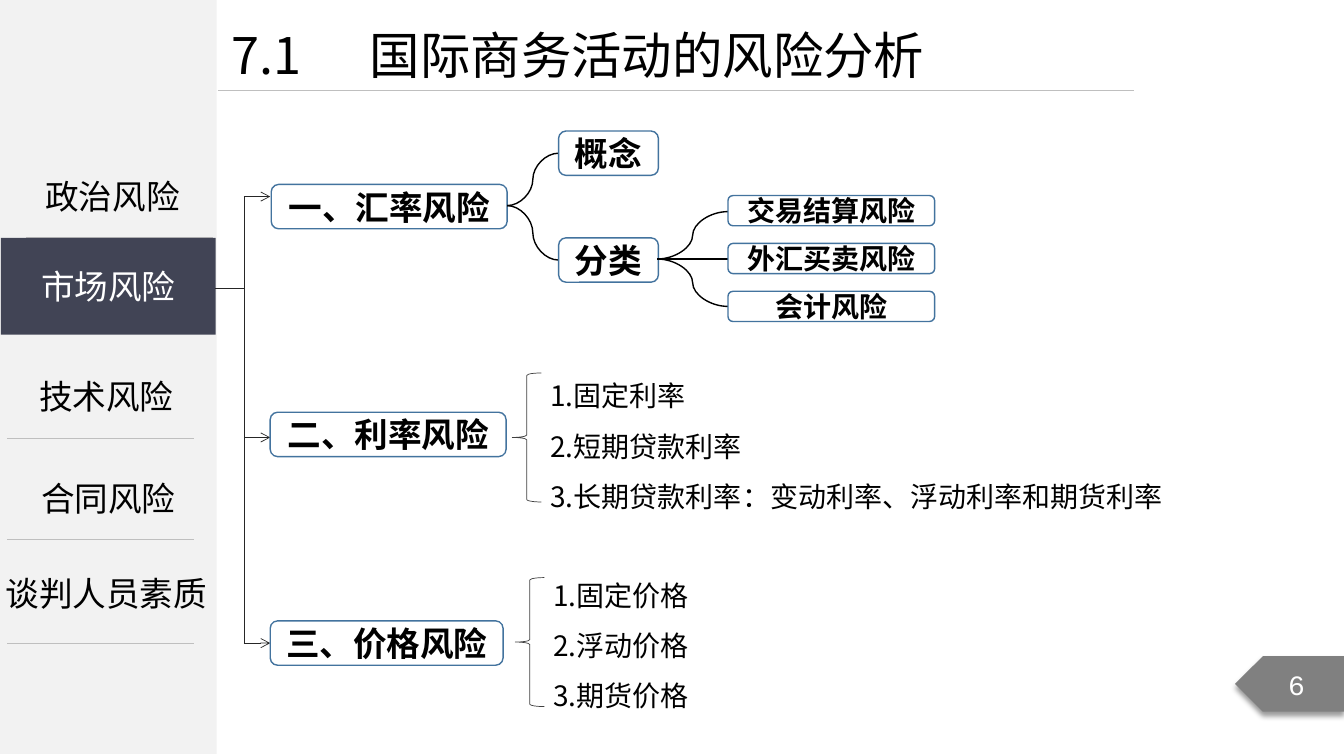
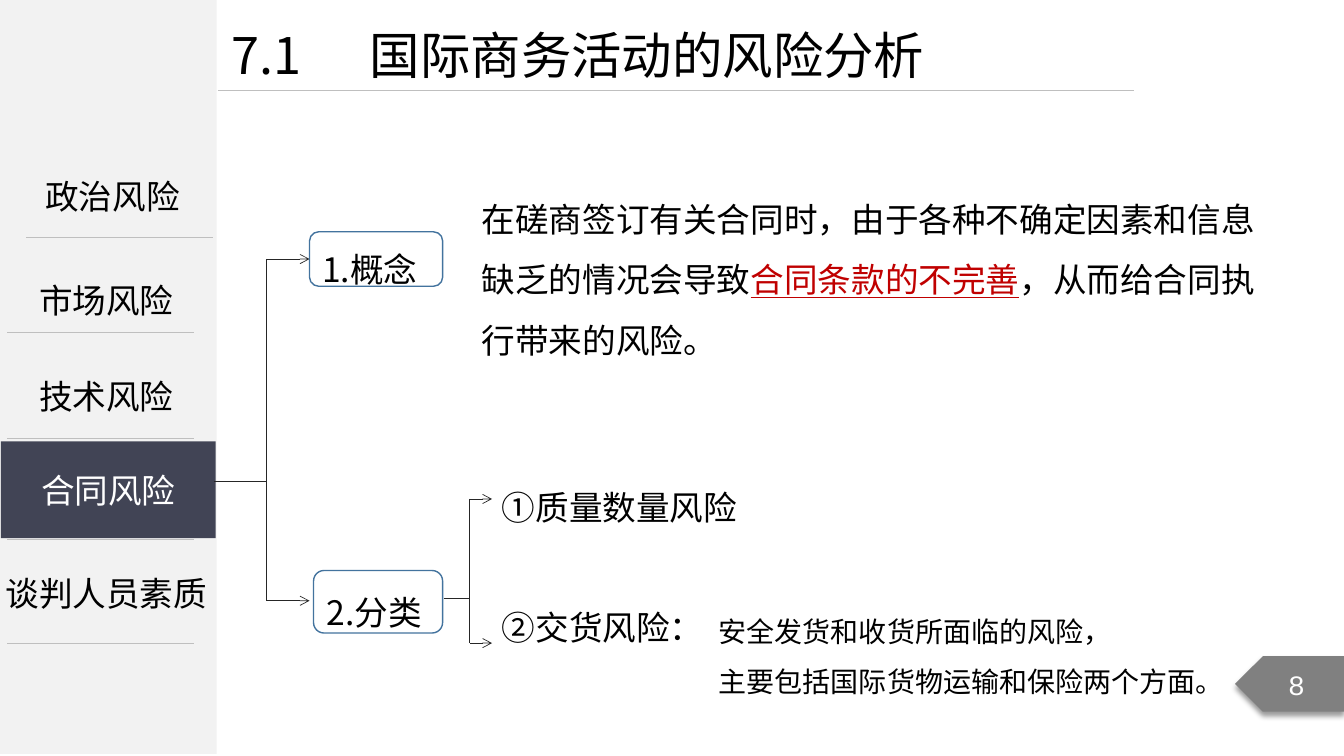
from dataclasses import dataclass, replace
from typing import Any, Optional, Sequence, Union

from lxml.etree import SubElement
from pptx import Presentation
from pptx.dml.color import RGBColor
from pptx.enum.shapes import MSO_CONNECTOR as Link, MSO_SHAPE as Shape
from pptx.enum.text import MSO_ANCHOR as Anchor, MSO_AUTO_SIZE as AutoSize, PP_ALIGN as Align
from pptx.oxml.ns import qn
from pptx.util import Inches, Pt

# Look shared by the slides
COLORS = {
    "panel": "F2F2F2", "rule": "BFBFBF", "active": "414455", "tag": "808080",
    "box": "43739E", "branch": "262626", "brace": "404040",
    "ink": "000000", "light": "FFFFFF", "alert": "C00000",
}
SANS, DIGITS = "Noto Sans CJK SC", "Courier New"
TITLE = ("7.1", "国际商务活动的风险分析")

# Grid: ten columns or rows to the inch
COLUMNS, ROWS = 133.3, 75


def cells(count: float) -> int:
    return Inches(count / 10)


@dataclass(frozen=True)
class Area:
    col: float
    row: float
    cols: float
    rows: float

    @property
    def emu(self) -> list[int]:
        return [cells(n) for n in (self.col, self.row, self.cols, self.rows)]


@dataclass(frozen=True)
class TextStyle:
    size: int = 24
    color: str = "ink"
    font: str = SANS
    bold: bool = False
    align: Align = Align.LEFT
    spacing: float = 1.0
    gap: float = 0
    tracking: int = 0


@dataclass(frozen=True)
class Span:
    text: str
    color: str
    underline: bool = False


@dataclass(frozen=True)
class Topic:
    label: str
    area: Area
    rule: tuple[float, float]
    spacing: float = 1.0
    active_row: Optional[float] = None


@dataclass(frozen=True)
class Branch:
    start: tuple[float, float]
    trunk: float
    tip: float
    rows: Sequence[float]


@dataclass(frozen=True)
class Node:
    label: str
    area: Area
    style: TextStyle


@dataclass(frozen=True)
class Note:
    paragraphs: Sequence[Union[str, Sequence[Span]]]
    area: Area
    style: TextStyle


CENTERED = TextStyle(align=Align.CENTER)
ACTIVE = replace(CENTERED, color="light")
HEADING = replace(CENTERED, bold=True, tracking=-10)
LEAF = replace(HEADING, size=20)
NUMBERED = TextStyle(spacing=1.5)
DETAIL = replace(NUMBERED, size=20)

TOPICS = (
    Topic("政治风险", Area(2, 17, 18.3, 5), (2.6, 23.5)),
    Topic("市场风险", Area(1.4, 27.3, 18.3, 5), (0.7, 33), active_row=23.6),
    Topic("技术风险", Area(1.4, 34.8, 18.3, 6.4), (0.7, 43.5), 1.5),
    Topic("合同风险", Area(1.6, 44.9, 18.3, 7.1), (0.7, 53.5), 1.5, 43.8),
    Topic("谈判人员素质", Area(-0.5, 56.3, 22.1, 5), (0.7, 63.8)),
)


# Drawing helpers
def rgb(name: str) -> RGBColor:
    return RGBColor.from_string(COLORS[name])


def apply(target: Any, formats: dict[str, Any]) -> None:
    for key, value in formats.items():
        setattr(target, key, value)


def write(frame: Any, paragraphs: Sequence, style: TextStyle) -> None:
    frame.word_wrap = True
    for index, content in enumerate(paragraphs):
        paragraph = frame.add_paragraph() if index else frame.paragraphs[0]
        apply(paragraph, {"alignment": style.align, "line_spacing": style.spacing})
        if index and style.gap:
            paragraph.space_before = Pt(style.gap)
        spans = [Span(content, style.color)] if isinstance(content, str) else content
        for span in spans:
            run = paragraph.add_run()
            run.text = span.text
            apply(run.font, {"name": style.font, "size": Pt(style.size),
                             "bold": style.bold, "underline": span.underline})
            run.font.color.rgb = rgb(span.color)
            props = run._r.get_or_add_rPr()
            SubElement(props, qn("a:ea")).set("typeface", style.font)
            if style.tracking:
                props.set("spc", str(style.tracking))


def add_figure(slide: Any, kind: Shape, area: Area, fill: Optional[str] = None,
               line: Optional[str] = None, weight: float = 1) -> Any:
    figure = slide.shapes.add_shape(kind, *area.emu)
    figure.shadow.inherit = False
    if fill:
        figure.fill.solid()
        figure.fill.fore_color.rgb = rgb(fill)
    else:
        figure.fill.background()
    if line:
        figure.line.color.rgb = rgb(line)
        figure.line.width = Pt(weight)
    else:
        figure.line.fill.background()
    return figure


def add_line(slide: Any, start: tuple[float, float], end: tuple[float, float], color: str,
             weight: float = 0.5, kind: Link = Link.STRAIGHT, arrow: bool = False) -> None:
    line = slide.shapes.add_connector(kind, *map(cells, start + end))
    line.line.color.rgb = rgb(color)
    line.line.width = Pt(weight)
    if arrow:
        SubElement(line.line._get_or_add_ln(), qn("a:tailEnd")).set("type", "arrow")
    SubElement(line._element.spPr, qn("a:effectLst"))


def add_note(slide: Any, note: Note) -> Any:
    frame = slide.shapes.add_textbox(*note.area.emu).text_frame
    write(frame, note.paragraphs, note.style)
    frame.auto_size = AutoSize.SHAPE_TO_FIT_TEXT
    return frame


def add_node(slide: Any, node: Node) -> None:
    frame = add_figure(slide, Shape.ROUNDED_RECTANGLE, node.area, line="box").text_frame
    frame.vertical_anchor = Anchor.MIDDLE
    if node.style.align == Align.LEFT:
        frame.margin_right = 0
    write(frame, [node.label], node.style)


def add_branch(slide: Any, branch: Branch) -> None:
    add_line(slide, branch.start, (branch.trunk, branch.start[1]), "branch")
    add_line(slide, (branch.trunk, min(branch.rows)), (branch.trunk, max(branch.rows)), "branch")
    for row in branch.rows:
        add_line(slide, (branch.trunk, row), (branch.tip, row), "branch", arrow=True)


def add_curves(slide: Any, start: tuple[float, float], end_col: float,
               rows: Sequence[float]) -> None:
    for row in rows:
        add_line(slide, start, (end_col, row), "ink", 1, Link.CURVE)


# Parts shared by the slides
def add_page_tag(slide: Any, number: int) -> None:
    tag = add_figure(slide, Shape.PENTAGON, Area(122.5, 65.1, 10.8, 5.5), "tag")
    tag._element.spPr.xfrm.set("flipH", "1")
    tag.text_frame.vertical_anchor = Anchor.MIDDLE
    write(tag.text_frame, [str(number)],
          TextStyle(20, "light", DIGITS, align=Align.CENTER))
    effects = tag._element.spPr.find(qn("a:effectLst"))
    shadow = SubElement(effects, qn("a:outerShdw"), blurRad=str(Pt(4)), dist=str(Pt(3)),
                        dir="5400000", algn="t", rotWithShape="0")
    tint = SubElement(shadow, qn("a:srgbClr"), val=COLORS["ink"])
    SubElement(tint, qn("a:alpha"), val="40000")


def add_title(slide: Any) -> None:
    add_line(slide, (21.6, 9), (112.5, 9), "rule")
    frame = add_note(slide, Note(["\t".join(TITLE)], Area(22, 1.9, 96.7, 7.1), TextStyle(36)))
    stops = SubElement(frame.paragraphs[0]._p.get_or_add_pPr(), qn("a:tabLst"))
    SubElement(stops, qn("a:tab"), pos=str(cells(13.7)), algn="l")


def add_sidebar(slide: Any, active: str) -> None:
    add_figure(slide, Shape.RECTANGLE, Area(-0.1, -0.2, 21.6, ROWS), "panel")
    current = next(topic for topic in TOPICS if topic.label == active)
    band = Area(0.1, current.active_row, 21.3, 9.6)
    for topic in TOPICS:
        col, row = topic.rule
        if not band.row < row < band.row + band.rows:
            add_line(slide, (col, row), (col + 18.5, row), "rule")
        if topic is current:
            marker = add_figure(slide, Shape.RECTANGLE, band, "active")
            marker.text_frame.vertical_anchor = Anchor.MIDDLE
            write(marker.text_frame, [topic.label], ACTIVE)
        else:
            add_note(slide, Note([topic.label], topic.area,
                                 replace(CENTERED, spacing=topic.spacing)))


def start_slide(deck: Any, active: str, number: int) -> Any:
    slide = deck.slides.add_slide(deck.slide_layouts[6])
    add_sidebar(slide, active)
    add_title(slide)
    add_page_tag(slide, number)
    return slide


# Market risk
def build_market(deck: Any) -> None:
    slide = start_slide(deck, "市场风险", 6)
    add_branch(slide, Branch((21.3, 28.6), 24.2, 26.8, (19.5, 43.4, 63.8)))
    risks = (("一、汇率风险", Area(26.9, 18.3, 23.4, 4.4)),
             ("二、利率风险", Area(26.8, 40.9, 23.4, 4.4)),
             ("三、价格风险", Area(26.8, 61.6, 23.1, 4.4)))
    for label, area in risks:
        add_node(slide, Node(label, area, HEADING))

    # Exchange rate tree
    add_curves(slide, (50.3, 20.4), 55.4, (15.2, 25.8))
    for label, row in (("概念", 13), ("分类", 23.6)):
        add_node(slide, Node(label, Area(55.4, row, 9.9, 4.4), HEADING))
    add_curves(slide, (65.2, 25.7), 72.2, (21, 25.7, 30.4))
    for index, label in enumerate(("交易结算风险", "外汇买卖风险", "会计风险")):
        add_node(slide, Node(label, Area(72.2, 19.4 + 4.75 * index, 20.5, 3), LEAF))

    # Braced lists
    rates = Note(("1.固定利率", "2.短期贷款利率", "3.长期贷款利率：变动利率、浮动利率和期货利率"),
                 Area(53.6, 35.4, 64.8, 16.2), DETAIL)
    prices = Note(("1.固定价格", "2.浮动价格", "3.期货价格"),
                  Area(53.9, 55.2, 25.1, 15.4), DETAIL)
    for note, row in ((rates, 37), (prices, 57.3)):
        add_note(slide, note)
        add_figure(slide, Shape.LEFT_BRACE, Area(note.area.col - 2.8, row, 2.9, 12.8),
                   line="brace", weight=0.5)


# Contract risk
def build_contract(deck: Any) -> None:
    slide = start_slide(deck, "合同风险", 8)
    add_branch(slide, Branch((21.2, 47.8), 26.4, 30.7, (25.7, 59.6)))
    add_branch(slide, Branch((44, 59.4), 46.6, 48.8, (49.5, 63.8)))
    add_node(slide, Node("1.概念", Area(30.7, 23, 13.2, 5.4), NUMBERED))
    add_node(slide, Node("2.分类", Area(31.1, 56.6, 12.8, 6.2), NUMBERED))
    concept = (
        Span("在磋商签订有关合同时，由于各种不确定因素和信息缺乏的情况会导致", "ink"),
        Span("合同条款的不完善", "alert", True),
        Span("，从而给合同执行带来的风险。", "ink"),
    )
    notes = (
        Note([concept], Area(46.8, 17.2, 79, 19.2), NUMBERED),
        Note(("①质量数量风险", "②交货风险："), Area(48.8, 47.8, 28.3, 17.2),
             TextStyle(gap=57)),
        Note(("安全发货和收货所面临的风险，", "主要包括国际货物运输和保险两个方面。"),
             Area(70.3, 58.8, 50.8, 11.1), DETAIL),
    )
    for note in notes:
        add_note(slide, note)


deck = Presentation()
apply(deck, {"slide_width": cells(COLUMNS), "slide_height": cells(ROWS)})
build_market(deck)
build_contract(deck)
deck.save("out.pptx")
